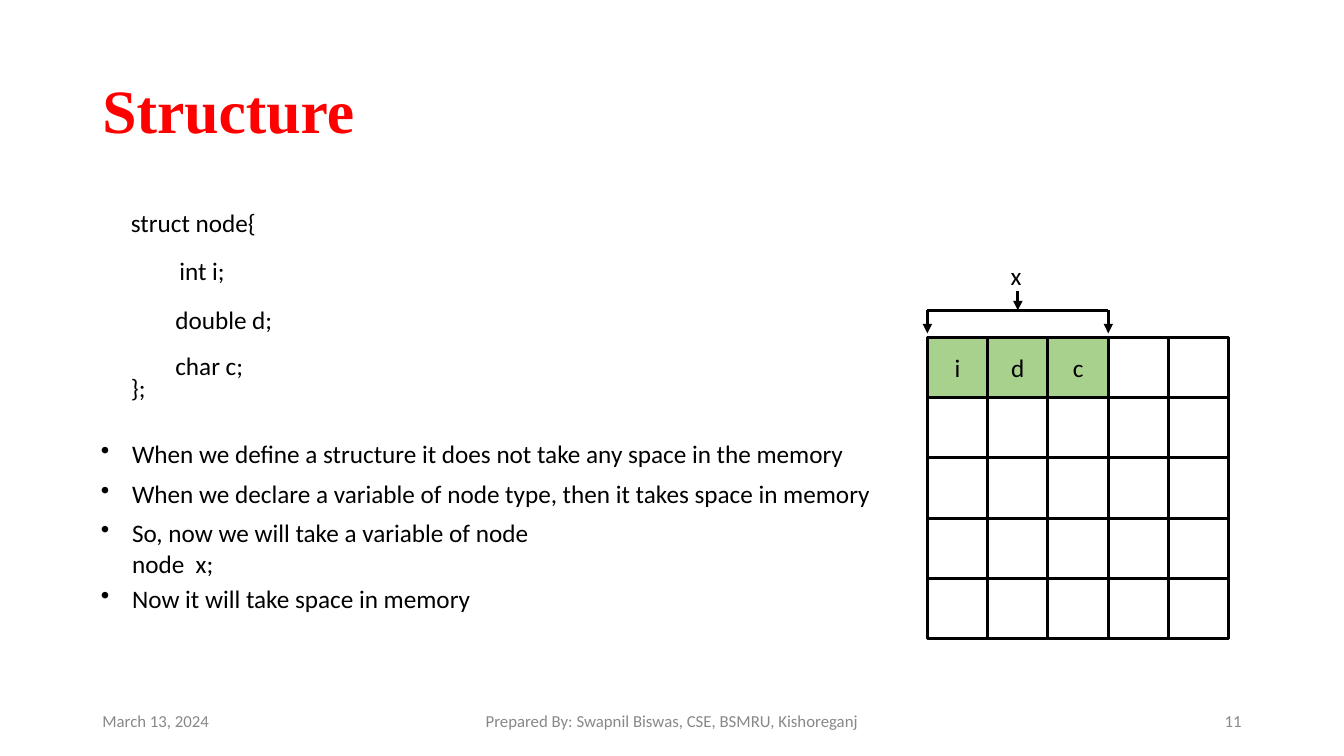
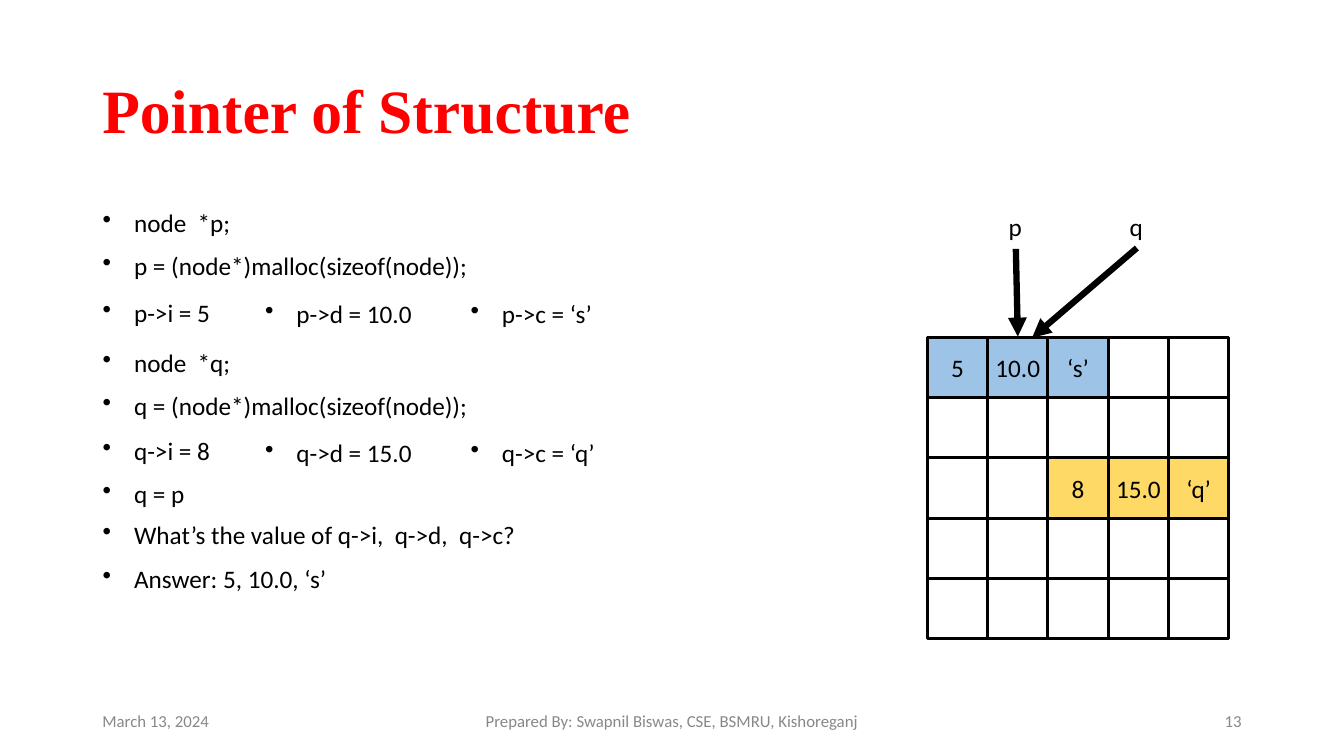
from dataclasses import dataclass
from itertools import product

from pptx import Presentation
from pptx.dml.color import RGBColor
from pptx.enum.shapes import MSO_CONNECTOR as Connector, MSO_SHAPE as Shape
from pptx.enum.text import MSO_ANCHOR as Anchor, PP_ALIGN as Align
from pptx.oxml.ns import qn
from pptx.slide import Slide
from pptx.text.text import TextFrame
from pptx.util import Cm, Pt
from lxml.etree import SubElement


@dataclass(frozen=True)
class Theme:
    title_font: str = "Times New Roman"
    body_font: str = "Calibri"
    title_size: float = 44
    body_size: float = 18
    footer_size: float = 12
    cell_line: float = 2
    bracket_line: float = 2.25
    pointer_line: float = 4.5
    red: str = "FF0000"
    black: str = "000000"
    grey: str = "888888"
    green: str = "A9D18E"
    blue: str = "9DC3E6"
    yellow: str = "FFD966"


THEME = Theme()


# All lengths below are in centimetres, paragraph gaps in points.
@dataclass(frozen=True)
class Box:
    left: float
    top: float
    width: float
    height: float = 1.01


@dataclass(frozen=True)
class Style:
    size: float = THEME.body_size
    color: str = THEME.black
    font: str = THEME.body_font
    bold: bool = False


@dataclass(frozen=True)
class Label:
    left: float
    top: float
    text: str


@dataclass(frozen=True)
class Bullet:
    text: str
    gap: float = 0


@dataclass(frozen=True)
class Record:
    """Neighbouring memory cells that hold one struct."""
    row: int
    column: int
    values: tuple[str, ...]
    color: str


@dataclass(frozen=True)
class Arrow:
    x1: float
    y1: float
    x2: float
    y2: float
    weight: float
    head: bool = True


BODY = Style()
TITLE = Style(THEME.title_size, THEME.red, THEME.title_font, True)
FOOTER = Style(THEME.footer_size, THEME.grey)

TITLE_BOX = Box(2.33, 1.01, 29.21, 3.68)
FOOTER_TOP = 17.66
LABEL_WIDTH = 5
BULLET_INDENT = 0.79

GRID_LEFT, GRID_TOP, GRID_COUNT, CELL = 23.37, 8.5, 5, 1.52


# Text
def format_text(frame: TextFrame, style: Style, align: Align = Align.LEFT) -> None:
    for paragraph in frame.paragraphs:
        paragraph.alignment = align
        for run in paragraph.runs:
            run.font.name = style.font
            run.font.size = Pt(style.size)
            run.font.bold = style.bold
            run.font.color.rgb = RGBColor.from_string(style.color)


def add_text(slide: Slide, box: Box, text: str, style: Style = BODY,
             align: Align = Align.LEFT, anchor: Anchor = Anchor.TOP) -> TextFrame:
    frame = slide.shapes.add_textbox(
        Cm(box.left), Cm(box.top), Cm(box.width), Cm(box.height)).text_frame
    frame.word_wrap = True
    frame.vertical_anchor = anchor
    frame.text = text
    format_text(frame, style, align)
    return frame


def add_labels(slide: Slide, labels: list[Label]) -> None:
    for label in labels:
        add_text(slide, Box(label.left, label.top, LABEL_WIDTH), label.text)


def add_bullets(slide: Slide, box: Box, bullets: list[Bullet]) -> None:
    frame = add_text(slide, box, "\n".join(bullet.text for bullet in bullets))
    for paragraph, bullet in zip(frame.paragraphs, bullets):
        paragraph.space_before = Pt(bullet.gap)
        properties = paragraph._p.get_or_add_pPr()
        properties.set("marL", str(Cm(BULLET_INDENT)))
        properties.set("indent", str(-Cm(BULLET_INDENT)))
        SubElement(properties, qn("a:buChar")).set("char", "•")


# Lines and memory
def add_arrows(slide: Slide, arrows: list[Arrow]) -> None:
    for arrow in arrows:
        connector = slide.shapes.add_connector(
            Connector.STRAIGHT, Cm(arrow.x1), Cm(arrow.y1), Cm(arrow.x2), Cm(arrow.y2))
        connector.line.width = Pt(arrow.weight)
        connector.line.color.rgb = RGBColor.from_string(THEME.black)
        if arrow.head:
            SubElement(connector.line._get_or_add_ln(), qn("a:tailEnd")).set("type", "triangle")
        SubElement(connector._element.spPr, qn("a:effectLst"))


def add_cell(slide: Slide, row: int, column: int, value: str, color: str | None) -> None:
    cell = slide.shapes.add_shape(
        Shape.RECTANGLE, Cm(GRID_LEFT + column * CELL), Cm(GRID_TOP + row * CELL),
        Cm(CELL), Cm(CELL))
    cell.shadow.inherit = False
    cell.line.width = Pt(THEME.cell_line)
    cell.line.color.rgb = RGBColor.from_string(THEME.black)
    if color is None:
        cell.fill.background()
        return
    cell.fill.solid()
    cell.fill.fore_color.rgb = RGBColor.from_string(color)
    frame = cell.text_frame
    frame.margin_left = frame.margin_right = 0
    frame.vertical_anchor = Anchor.MIDDLE
    frame.text = value
    format_text(frame, BODY, Align.CENTER)


def add_memory(slide: Slide, records: list[Record]) -> None:
    filled = {(record.row, record.column + step): (value, record.color)
              for record in records for step, value in enumerate(record.values)}
    for row, column in product(range(GRID_COUNT), repeat=2):
        value, color = filled.get((row, column), ("", None))
        add_cell(slide, row, column, value, color)


# Slides
def add_page(deck: Presentation, title: str, number: str) -> Slide:
    slide = deck.slides.add_slide(deck.slide_layouts[6])
    frame = add_text(slide, TITLE_BOX, title, TITLE, anchor=Anchor.MIDDLE)
    frame.paragraphs[0].line_spacing = 0.9
    footers = (
        (2.33, 7.62, "March 13, 2024", Align.LEFT),
        (11.22, 11.43, "Prepared By: Swapnil Biswas, CSE, BSMRU, Kishoreganj", Align.CENTER),
        (23.92, 7.62, number, Align.RIGHT),
    )
    for left, width, text, align in footers:
        add_text(slide, Box(left, FOOTER_TOP, width), text, FOOTER, align, Anchor.MIDDLE)
    return slide


def build_structure(deck: Presentation) -> None:
    slide = add_page(deck, "Structure", "11")

    # Struct definition
    add_labels(slide, [
        Label(3.05, 5.1, "struct node{"),
        Label(4.27, 6.32, "int i;"),
        Label(4.17, 7.54, "double d;"),
        Label(4.17, 8.71, "char c;"),
        Label(3.05, 9.25, "};"),
    ])
    add_bullets(slide, Box(2.29, 10.92, 20.83, 4.7), [
        Bullet("When we define a structure it does not take any space in the memory"),
        Bullet("When we declare a variable of node type, then it takes space in memory", 7),
        Bullet("So, now we will take a variable of node\vnode  x;", 6.5),
        Bullet("Now it will take space in memory", 3.5),
    ])

    # Variable x in memory, with its bracket
    record = Record(0, 0, ("i", "d", "c"), THEME.green)
    add_memory(slide, [record])
    span = len(record.values) * CELL
    right, middle = GRID_LEFT + span, GRID_LEFT + span / 2
    bar, tip, stem = 7.82, 8.4, 7.34
    add_arrows(slide, [
        Arrow(GRID_LEFT, bar, right, bar, THEME.bracket_line, head=False),
        Arrow(GRID_LEFT, bar, GRID_LEFT, tip, THEME.bracket_line),
        Arrow(right, bar, right, tip, THEME.bracket_line),
        Arrow(middle, stem, middle, bar, THEME.bracket_line),
    ])
    add_labels(slide, [Label(25.22, 6.43, "x")])


def build_pointer(deck: Presentation) -> None:
    slide = add_page(deck, "Pointer of Structure", "13")

    # Code steps, then the assignments that stand beside them
    add_bullets(slide, Box(2.34, 5.11, 15.57, 10.1), [
        Bullet("node  *p;"),
        Bullet("p = (node*)malloc(sizeof(node));", 9),
        Bullet("p->i = 5", 12),
        Bullet("node  *q;", 14),
        Bullet("q = (node*)malloc(sizeof(node));", 9),
        Bullet("q->i = 8", 10.5),
        Bullet("q = p", 9),
        Bullet("What’s the value of q->i,  q->d,  q->c?", 8),
        Bullet("Answer: 5, 10.0, ‘s’", 9.5),
    ])
    assignments = (
        (7.39, "p->d = 10.0", "p->c = ‘s’"),
        (10.9, "q->d = 15.0", "q->c = ‘q’"),
    )
    for top, *steps in assignments:
        for left, step in zip((6.43, 11.61), steps):
            add_bullets(slide, Box(left, top, LABEL_WIDTH), [Bullet(step)])

    # Both pointers lead to the first record
    add_labels(slide, [Label(25.17, 5.21, "p"), Label(28.22, 5.21, "q")])
    add_arrows(slide, [
        Arrow(25.6, 6.27, 25.65, 8.48, THEME.pointer_line),
        Arrow(28.65, 6.25, 26.01, 8.51, THEME.pointer_line),
    ])
    add_memory(slide, [
        Record(0, 0, ("5", "10.0", "‘s’"), THEME.blue),
        Record(2, 2, ("8", "15.0", "‘q’"), THEME.yellow),
    ])


def main() -> None:
    deck = Presentation()
    deck.slide_width, deck.slide_height = Cm(33.87), Cm(19.05)
    build_structure(deck)
    build_pointer(deck)
    deck.save("out.pptx")


if __name__ == "__main__":
    main()
